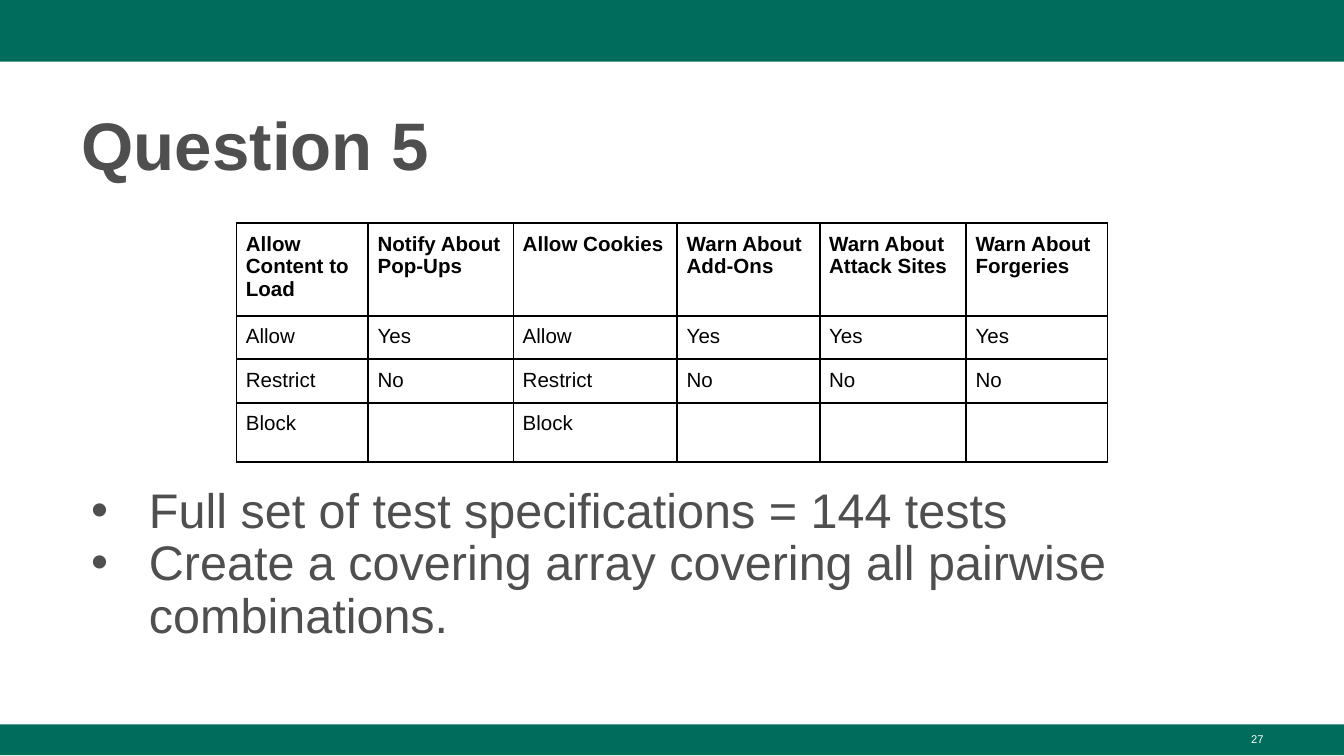
from dataclasses import dataclass

from lxml.etree import SubElement
from pptx import Presentation
from pptx.dml.color import RGBColor
from pptx.enum.shapes import MSO_SHAPE
from pptx.enum.text import PP_ALIGN
from pptx.oxml.ns import qn
from pptx.util import Inches, Pt


@dataclass(frozen=True)
class Theme:
    font: str = "Arial"
    green: RGBColor = RGBColor(0x00, 0x6C, 0x5C)
    gray: RGBColor = RGBColor(0x4F, 0x4F, 0x4F)
    black: RGBColor = RGBColor(0, 0, 0)
    white: RGBColor = RGBColor(0xFF, 0xFF, 0xFF)
    title_size: Pt = Pt(36)
    body_size: Pt = Pt(26)
    table_size: Pt = Pt(11)
    number_size: Pt = Pt(6)
    border_width: Pt = Pt(1)


theme = Theme()


def style(paragraph, size, color, bold=False):
    font = paragraph.font
    font.name, font.size, font.bold = theme.font, size, bold
    font.color.rgb = color


def add_text(left, top, width, height, lines, size, color, bold=False):
    """Add a wrapping text box with one paragraph per line; return its paragraphs."""
    box = slide.shapes.add_textbox(Inches(left), Inches(top), Inches(width), Inches(height))
    frame = box.text_frame
    frame.word_wrap = True
    frame.text = "\n".join(lines)
    for paragraph in frame.paragraphs:
        style(paragraph, size, color, bold)
    return frame.paragraphs


presentation = Presentation()
presentation.slide_width = Inches(10)
presentation.slide_height = presentation.slide_width * 9 // 16
slide = presentation.slides.add_slide(presentation.slide_layouts[6])

# Header and footer bands
for top, height in ((0, 0.46), (5.39, 0.23)):
    band = slide.shapes.add_shape(
        MSO_SHAPE.RECTANGLE, 0, Inches(top), presentation.slide_width, Inches(height))
    band.shadow.inherit = False
    band.fill.solid()
    band.fill.fore_color.rgb = theme.green
    band.line.fill.background()

# Slide number and title
number = add_text(7.17, 5.4, 2.33, 0.23, ["27"], theme.number_size, theme.white)[0]
number.alignment = PP_ALIGN.RIGHT
title = add_text(0.51, 0.67, 8.99, 0.73, ["Question 5"], theme.title_size, theme.gray, True)[0]
title.line_spacing = 1.08

# Bulleted task
bullets = [
    "Full set of test specifications = 144 tests",
    "Create a covering array covering all pairwise combinations.",
]
for paragraph in add_text(0.51, 3.57, 8.99, 1.64, bullets, theme.body_size, theme.gray):
    paragraph.line_spacing = 0.9
    properties = paragraph._p.get_or_add_pPr()
    properties.set("marL", str(Inches(0.5)))
    properties.set("indent", str(Inches(-0.43)))
    bullet_color = properties.makeelement(qn("a:buClr"), {})
    SubElement(bullet_color, qn("a:srgbClr"), val=str(theme.gray))
    bullet_font = properties.makeelement(qn("a:buFont"), {"typeface": theme.font})
    bullet = properties.makeelement(qn("a:buChar"), {"char": "•"})
    for element in (bullet_color, bullet_font, bullet):
        properties.insert_element_before(element, "a:tabLst", "a:defRPr", "a:extLst")

# Table of settings and their values
settings = {
    "Allow Content to Load": ("Allow", "Restrict", "Block"),
    "Notify About Pop-Ups": ("Yes", "No", ""),
    "Allow Cookies": ("Allow", "Restrict", "Block"),
    "Warn About Add-Ons": ("Yes", "No", ""),
    "Warn About Attack Sites": ("Yes", "No", ""),
    "Warn About Forgeries": ("Yes", "No", ""),
}
column_widths = [0.98, 1.08, 1.22, 1.06, 1.09, 1.05]
row_count = 4
row_height = Inches(0.01)  # rows grow to fit their text
table = slide.shapes.add_table(
    row_count, len(column_widths), Inches(1.76), Inches(1.66),
    Inches(sum(column_widths)), row_height * row_count).table
table.horz_banding = False
for row in table.rows:
    row.height = row_height

for column_index, (name, values) in enumerate(settings.items()):
    table.columns[column_index].width = Inches(column_widths[column_index])
    for row_index, text in enumerate((name, *values)):
        cell = table.cell(row_index, column_index)
        cell.margin_left = cell.margin_right = Inches(0.07)
        cell.margin_top = cell.margin_bottom = Inches(0.07)
        if text:
            cell.text = text
            style(cell.text_frame.paragraphs[0], theme.table_size, theme.black, row_index == 0)
        cell_properties = cell._tc.get_or_add_tcPr()
        for side in ("a:lnL", "a:lnR", "a:lnT", "a:lnB"):
            border = SubElement(cell_properties, qn(side), w=str(theme.border_width))
            border_fill = SubElement(border, qn("a:solidFill"))
            SubElement(border_fill, qn("a:srgbClr"), val=str(theme.black))
        cell.fill.background()

presentation.save("out.pptx")
